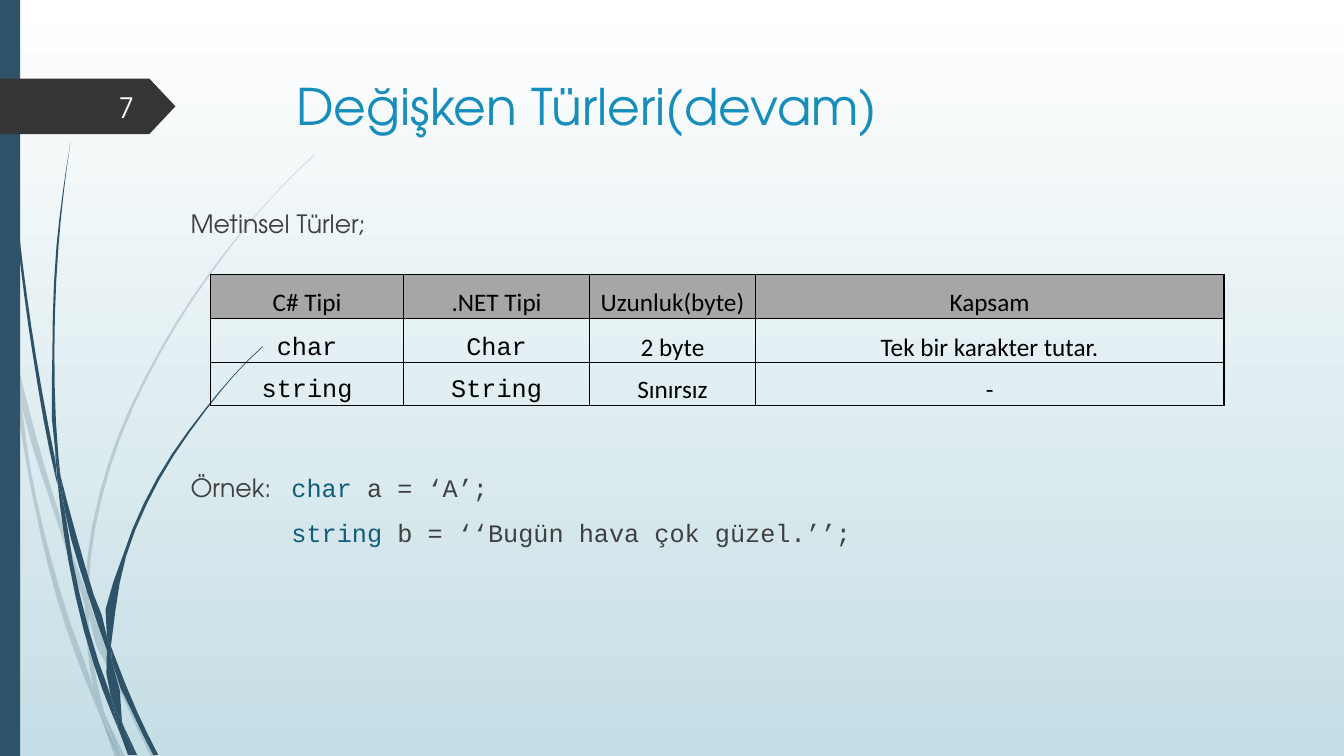
from math import hypot

from lxml.etree import SubElement
from pptx import Presentation
from pptx.dml.color import RGBColor
from pptx.enum.shapes import MSO_SHAPE
from pptx.enum.text import MSO_ANCHOR, MSO_AUTO_SIZE, PP_ALIGN
from pptx.oxml.ns import qn
from pptx.util import Pt

PX = 9144  # one px is a hundredth of an inch
WHITE = RGBColor(0xFF, 0xFF, 0xFF)
MIST = RGBColor(0xC5, 0xDE, 0xE5)
NAVY = RGBColor(0x2E, 0x53, 0x69)
CHARCOAL = RGBColor(0x35, 0x35, 0x35)
TITLE_BLUE = RGBColor(0x17, 0x8D, 0xBB)
KEYWORD_BLUE = RGBColor(0x0F, 0x5E, 0x7C)
TEXT_GRAY = RGBColor(0x40, 0x40, 0x40)
HEADER_GRAY = RGBColor(0xA6, 0xA6, 0xA6)
BLACK = RGBColor(0, 0, 0)
NUMBER_WHITE = RGBColor(0xFE, 0xFF, 0xFF)
SANS, MONO, TABLE_FONT = "TeX Gyre Adventor", "Courier New", "Calibri"


def smooth_edge(points):
    """Return EMU points on a smooth curve through the given px points."""
    # Complex numbers hold x and y; each tangent leans to its nearer neighbour
    knots = [complex(*point) for point in points]
    chords = [end - start for start, end in zip(knots, knots[1:])]
    units = [chord / abs(chord) for chord in chords]
    tangents = [(units[i] * abs(chords[i + 1]) + units[i + 1] * abs(chords[i]))
                / (abs(chords[i]) + abs(chords[i + 1])) for i in range(len(chords) - 1)]
    if tangents:
        tangents = [2 * units[0] - tangents[0], *tangents, 2 * units[-1] - tangents[-1]]
    else:
        tangents = units * 2
    curve = []
    for i, chord in enumerate(chords):
        reach = abs(chord) / 3
        pull, push = knots[i] + reach * tangents[i], knots[i + 1] - reach * tangents[i + 1]
        steps = 1 + int(reach / 12)
        for t in (step / steps for step in range(steps)):
            curve.append(knots[i] * (1 - t) ** 3 + 3 * pull * t * (1 - t) ** 2
                         + 3 * push * t * t * (1 - t) + knots[i + 1] * t ** 3)
    return [(spot.real * PX, spot.imag * PX) for spot in curve + knots[-1:]]


def add_text(para, text, font_name, size, color):
    span = para.add_run()
    span.text = text
    for name, value in {"name": font_name, "size": Pt(size)}.items():
        setattr(span.font, name, value)
    span.font.color.rgb = color


deck = Presentation()
deck.slide_width, deck.slide_height = 1333 * PX, 750 * PX
page = deck.slides.add_slide(deck.slide_layouts[1])

# Background gradient, white at the top
backdrop = page.background.fill
backdrop.gradient()
backdrop.gradient_angle = 270
for stop, color in zip(backdrop.gradient_stops, (WHITE, MIST)):
    stop.color.rgb = color

# Grass wisps: each blade has one edge out and one edge back
pale_blades = [
    ([(11, 350), (9, 322), (0, 282)], [(0, 299), (10, 344), (11, 350)]),
    ([(14, 345), (17, 376), (58, 522), (84, 599)], [(85, 586), (62, 520), (14, 345)]),
    ([(88, 596), (88, 610), (123, 694), (150, 751)],
     [(155, 751), (127, 692), (92, 607), (88, 596)]),
    ([(105, 711), (119, 751)], [(124, 751), (105, 711)]),
    ([(11, 350), (28, 470), (65, 621), (92, 693), (101, 714)],
     [(99, 707), (93, 683), (70, 619), (31, 469), (17, 376), (11, 350)]),
    ([(84, 599), (87, 646), (93, 683), (96, 692), (105, 711)],
     [(103, 706), (91, 646), (88, 610), (88, 608), (84, 599)]),
    ([(88, 596), (88, 584), (110, 462), (160, 349), (229, 245), (268, 198), (290, 175), (312, 154)],
     [(312, 153), (289, 175), (268, 197), (228, 244), (158, 348), (107, 461), (85, 584),
      (85, 586), (88, 596)]),
    ([(101, 714), (114, 751)], [(119, 751), (101, 714)]),
    ([(85, 586), (84, 599), (88, 608), (88, 610)], [(88, 596), (85, 586)]),
    ([(93, 683), (99, 707), (101, 714), (119, 751)],
     [(119, 751), (105, 711), (96, 692), (93, 683)]),
]
dark_blades = [
    ([(3, 0), (4, 48), (7, 110), (17, 233), (33, 355), (56, 477), (57, 481)],
     [(55, 457), (36, 355), (19, 232), (8, 109), (5, 48), (4, 0)]),
    ([(60, 472), (64, 505), (88, 592), (106, 645)],
     [(106, 633), (106, 631), (93, 590), (60, 472)]),
    ([(110, 641), (111, 656), (132, 708), (152, 749)],
     [(157, 749), (136, 706), (113, 649), (110, 641)]),
    ([(57, 477), (68, 557), (93, 659), (111, 708), (117, 722)],
     [(116, 717), (110, 691), (98, 657), (72, 556), (64, 505), (57, 477)]),
    ([(60, 472), (58, 453), (54, 349), (58, 245), (63, 193), (70, 141)],
     [(70, 141), (62, 193), (56, 245), (52, 349), (55, 449), (60, 472)]),
    ([(122, 719), (133, 749)], [(136, 749), (122, 719)]),
    ([(55, 449), (55, 453), (57, 477), (64, 505)], [(60, 472), (55, 449)]),
    ([(110, 641), (111, 633), (125, 552), (158, 476), (205, 406), (231, 374), (245, 359), (261, 344)],
     [(260, 344), (245, 358), (231, 373), (204, 405), (156, 474), (122, 551), (106, 631),
      (110, 641)]),
    ([(117, 722), (127, 749)], [(131, 749), (117, 722)]),
    ([(106, 645), (110, 691), (116, 706), (122, 719)],
     [(121, 716), (111, 656), (109, 651), (106, 645)]),
    ([(106, 631), (106, 645), (111, 656)], [(110, 641), (106, 631)]),
    ([(110, 691), (116, 717), (117, 722), (130, 749)],
     [(133, 749), (122, 719), (116, 706), (110, 691)]),
]
for blades, opacity in ((pale_blades, 20), (dark_blades, 100)):
    wisp = page.shapes.add_group_shape()
    for edge_out, edge_back in blades:
        outline = smooth_edge(edge_out) + smooth_edge(edge_back)
        if outline[-1] == outline[0]:
            outline.pop()
        builder = wisp.shapes.build_freeform(*outline[0], scale=1.0)
        builder.add_line_segments(outline[1:], close=True)
        blade = builder.convert_to_shape()
        blade.shadow.inherit = False
        blade.fill.solid()
        blade.fill.fore_color.rgb = NAVY
        blade.line.fill.background()
        if opacity < 100:
            tint = blade.fill._xPr.find(qn("a:solidFill")).find(qn("a:srgbClr"))
            SubElement(tint, qn("a:alpha")).set("val", str(opacity * 1000))

# Side bar and page number tag
for preset, left, top, width, height, color in (
        (MSO_SHAPE.RECTANGLE, 0, 0, 20, 750, NAVY),
        (MSO_SHAPE.PENTAGON, 0, 78, 174, 55, CHARCOAL)):
    panel = page.shapes.add_shape(preset, left * PX, top * PX, width * PX, height * PX)
    panel.shadow.inherit = False
    panel.fill.solid()
    panel.fill.fore_color.rgb = color
    panel.line.fill.background()
panel.adjustments[0] = 0.47

# Title, page number and body boxes
title, body = page.shapes.title, page.placeholders[1]
number = page.shapes.add_textbox(0, 0, PX, PX)
for box, left, top, width, height, anchor in (
        (title, 284, 69, 975, 140, MSO_ANCHOR.TOP),
        (number, 58, 86, 85, 40, MSO_ANCHOR.MIDDLE),
        (body, 179, 202, 1096, 505, MSO_ANCHOR.TOP)):
    place = {"left": left, "top": top, "width": width, "height": height}
    for name, value in place.items():
        setattr(box, name, value * PX)
    frame_format = {"word_wrap": True, "auto_size": MSO_AUTO_SIZE.NONE, "vertical_anchor": anchor}
    for name, value in frame_format.items():
        setattr(box.text_frame, name, value)
    box._element.getparent().append(box._element)

for box, text, size, color, align in (
        (title, "Değişken Türleri(devam)", 36, TITLE_BLUE, PP_ALIGN.LEFT),
        (number, "7", 20, NUMBER_WHITE, PP_ALIGN.RIGHT)):
    para = box.text_frame.paragraphs[0]
    para.alignment = align
    add_text(para, text, SANS, size, color)

# Body lines: space before, then spans; half-inch tabs align the code
body_lines = [
    (0, [("Metinsel Türler;", SANS, TEXT_GRAY)]),
    (167, [("Örnek:\t", SANS, TEXT_GRAY), ("char", MONO, KEYWORD_BLUE), (" a = ‘A’;", MONO, TEXT_GRAY)]),
    (10, [("\t\t", MONO, TEXT_GRAY), ("string", MONO, KEYWORD_BLUE),
          (" b = ‘‘Bugün hava çok güzel.’’;", MONO, TEXT_GRAY)]),
]
for index, (gap, spans) in enumerate(body_lines):
    para = body.text_frame.add_paragraph() if index else body.text_frame.paragraphs[0]
    properties = para._p.get_or_add_pPr()
    for name, value in {"marL": "0", "indent": "0", "defTabSz": str(50 * PX)}.items():
        properties.set(name, value)
    SubElement(properties, qn("a:buNone"))
    tabs = SubElement(properties, qn("a:tabLst"))
    for stop in (50, 100):
        tab = SubElement(tabs, qn("a:tab"))
        tab.set("pos", str(stop * PX))
        tab.set("algn", "l")
    para.space_before = Pt(gap)
    for text, font_name, color in spans:
        add_text(para, text, font_name, 18, color)

# Table of text types
rows = [
    ("C# Tipi", ".NET Tipi", "Uzunluk(byte)", "Kapsam"),
    ("char", "Char", "2 byte", "Tek bir karakter tutar."),
    ("string", "String", "Sınırsız", "-"),
]
table = page.shapes.add_table(3, 4, 209 * PX, 272 * PX, 1005 * PX, 130 * PX).table
for column, width in zip(table.columns, (191, 185, 164, 465)):
    column.width = width * PX
for row, height in zip(table.rows, (44, 44, 42)):
    row.height = height * PX
for r, texts in enumerate(rows):
    for c, text in enumerate(texts):
        cell = table.cell(r, c)
        cell_format = {"margin_left": 5 * PX, "margin_right": 5 * PX, "margin_top": 0,
                       "margin_bottom": 0, "vertical_anchor": MSO_ANCHOR.BOTTOM}
        for name, value in cell_format.items():
            setattr(cell, name, value)
        for side in ("a:lnL", "a:lnR", "a:lnT", "a:lnB"):
            border = SubElement(cell._tc.get_or_add_tcPr(), qn(side))
            border.set("w", str(Pt(1)))
            SubElement(SubElement(border, qn("a:solidFill")), qn("a:srgbClr")).set("val", str(BLACK))
        if r == 0:
            cell.fill.solid()
            cell.fill.fore_color.rgb = HEADER_GRAY
        else:
            cell.fill.background()
        para = cell.text_frame.paragraphs[0]
        para_format = {"alignment": PP_ALIGN.CENTER, "line_spacing": 1.07, "space_after": Pt(8)}
        for name, value in para_format.items():
            setattr(para, name, value)
        add_text(para, text, MONO if r and c < 2 else TABLE_FONT, 18, BLACK)

deck.save("out.pptx")
